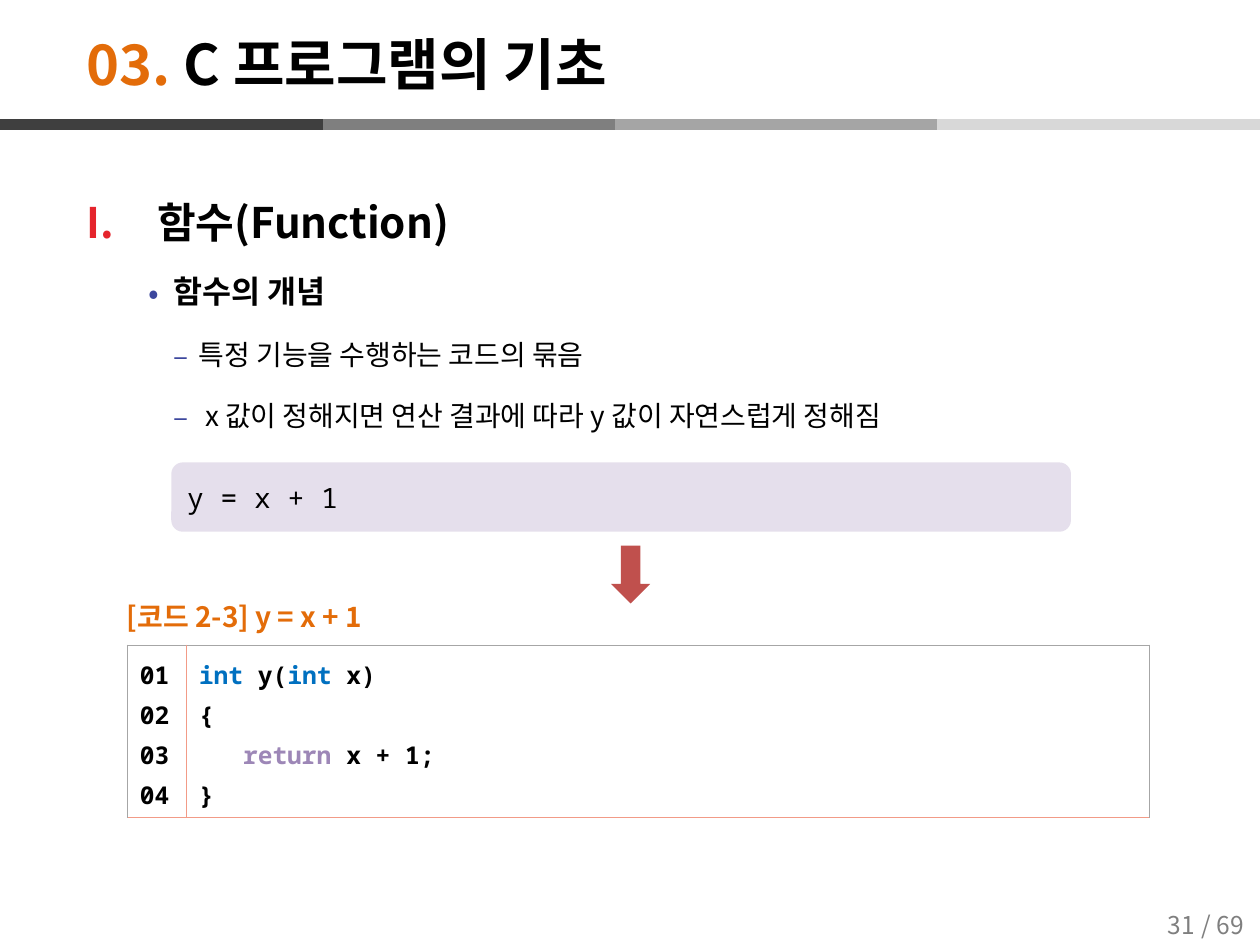
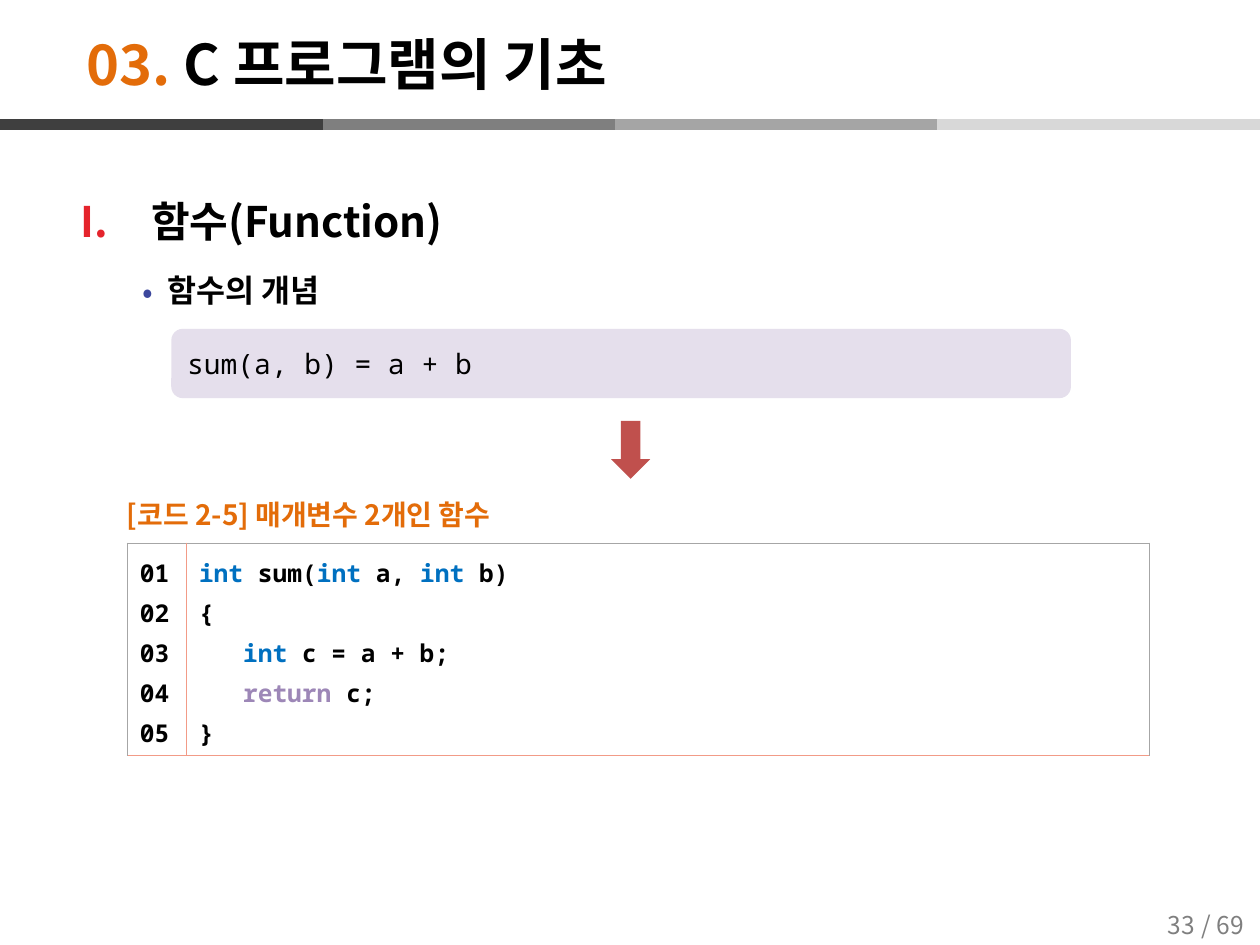
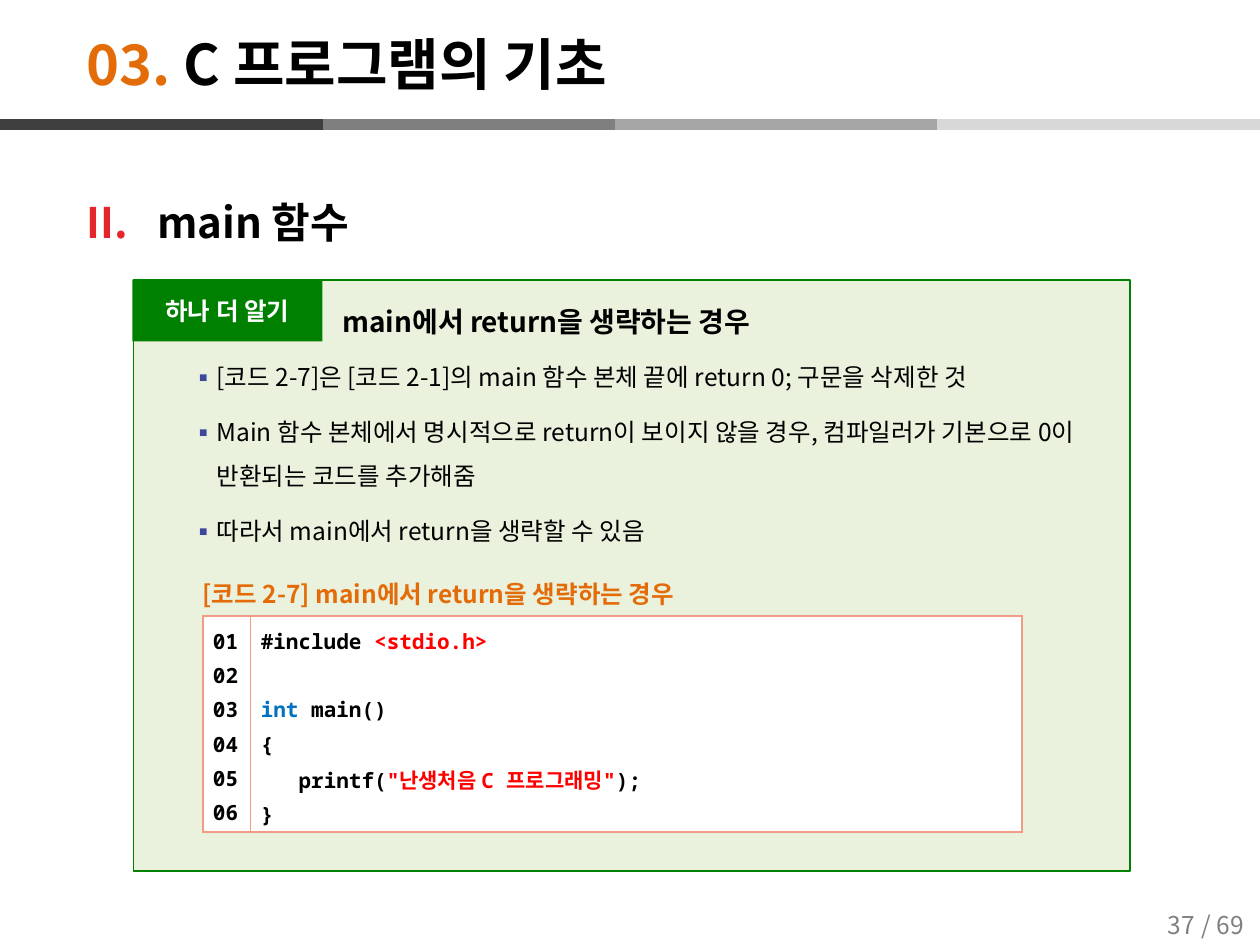
from lxml import etree
from pptx import Presentation
from pptx.dml.color import RGBColor
from pptx.enum.shapes import MSO_CONNECTOR, MSO_SHAPE
from pptx.enum.text import MSO_ANCHOR, PP_ALIGN
from pptx.oxml.ns import qn
from pptx.util import Inches, Pt

LINE = MSO_CONNECTOR.STRAIGHT
RECT = MSO_SHAPE.RECTANGLE
ROUND = MSO_SHAPE.ROUNDED_RECTANGLE
DOWN = MSO_SHAPE.DOWN_ARROW
TOP, MIDDLE = MSO_ANCHOR.TOP, MSO_ANCHOR.MIDDLE
LEFT, CENTER = PP_ALIGN.LEFT, PP_ALIGN.CENTER

SANS, MONO = "Noto Sans CJK KR", "Noto Sans Mono"
BLACK, WHITE, GRAY = "000000", "FFFFFF", "7F7F7F"
ORANGE, RED, NAVY, GREEN = "E36C09", "E5242C", "3C479D", "008000"
LILAC, PALE_GREEN, BRICK = "E5DFEC", "EAF1DD", "C0504D"
SALMON, SILVER, LITERAL = "F29B87", "A6A6A6", "FF0000"
KEYWORDS = {"int": "0070C0", "return": "9D87B7"}
BANDS = [(2.32, GRAY), (4.88, "A5A5A5"), (7.44, "D8D8D8"), (0, "3F3F3F")]
BAND_WIDTH = 2.56
MONO_ADVANCE, MONO_HEIGHT = 0.6, 1.36
CODE_SPACING = 1.2


def rgb(value):
    return RGBColor.from_string(value)


def sub(parent, tag, **attrs):
    return etree.SubElement(parent, qn(tag), attrs)


def token_color(token):
    if token[:1] in ('"', "<"):
        return LITERAL
    return KEYWORDS.get(token, BLACK)


class Deck:
    def __init__(self):
        self.prs = Presentation()
        self.prs.slide_width = Inches(10)
        self.prs.slide_height = Inches(7.5)
        self.s = None

    def new_slide(self, number):
        self.s = self.prs.slides.add_slide(self.prs.slide_layouts[6])
        for x, color in BANDS:
            self.band(x, color)
        for x, label in ((9.35, "/ 69"), (9.02, str(number))):
            self.label((x, 7.14, 0.71, 0.39), [(label, GRAY)], 14, bold=False, align=CENTER)
        self.label((0.59, 0.2, 8.74, 0.6), [("03. ", ORANGE), ("C 프로그램의 기초", BLACK)], 32)

    def band(self, x, color):
        y = Inches(0.99)
        c = self.s.shapes.add_connector(LINE, Inches(x), y, Inches(x + BAND_WIDTH), y)
        c.line.color.rgb = rgb(color)
        c.line.width = Pt(6)
        sub(c._element.spPr, "a:effectLst")

    def run(self, p, text, size, color=BLACK, bold=False, font=SANS):
        r = p.add_run()
        r.text = text
        r.font.size = Pt(size)
        r.font.bold = bold
        r.font.name = font
        r.font.color.rgb = rgb(color)
        sub(r._r.get_or_add_rPr(), "a:ea", typeface=SANS)

    def text_box(self, box, anchor):
        tf = self.s.shapes.add_textbox(*map(Inches, box)).text_frame
        tf.word_wrap = True
        tf.vertical_anchor = anchor
        return tf

    def label(self, box, runs, size, bold=True, align=LEFT, spacing=None):
        p = self.text_box(box, MIDDLE).paragraphs[0]
        p.alignment = align
        p.line_spacing = spacing
        for text, color in runs:
            self.run(p, text, size, color, bold)

    def item(self, p, text, size, margin, hang, before=0, bullet=None, start=1, bold=False):
        p.line_spacing = 1.5
        p.space_before = Pt(before)
        pPr = p._p.get_or_add_pPr()
        pPr.set("marL", str(Inches(margin)))
        pPr.set("indent", str(-Inches(hang)))
        sub(sub(pPr, "a:buClr"), "a:srgbClr", val=NAVY if bullet else RED)
        sub(pPr, "a:buFont", typeface=SANS)
        if bullet:
            sub(pPr, "a:buChar", char=bullet)
        else:
            sub(pPr, "a:buAutoNum", type="romanUcPeriod", startAt=str(start))
        self.run(p, text, size, bold=bold)

    def outline(self, box, heading, start=1, topic=None, details=()):
        tf = self.text_box(box, TOP)
        self.item(tf.paragraphs[0], heading, 24, 0.56, 0.56, start=start, bold=True)
        if topic:
            self.item(tf.add_paragraph(), topic, 18, 0.69, 0.2, 3.6, "•", bold=True)
        for text in details:
            self.item(tf.add_paragraph(), text, 16, 0.89, 0.2, 6.2, "–")

    def bullets(self, box, texts):
        tf = self.text_box(box, TOP)
        for i, text in enumerate(texts):
            p = tf.add_paragraph() if i else tf.paragraphs[0]
            self.item(p, text, 14, 0.49, 0.2, 6, "▪")

    def shape(self, kind, box, fill, line=None):
        sp = self.s.shapes.add_shape(kind, *map(Inches, box))
        sp.shadow.inherit = False
        sp.fill.solid()
        sp.fill.fore_color.rgb = rgb(fill)
        if line:
            sp.line.color.rgb = rgb(line)
            sp.line.width = Pt(1)
        else:
            sp.line.fill.background()
        return sp

    def shape_text(self, sp, text, size, color, bold, font, align):
        tf = sp.text_frame
        tf.word_wrap = True
        tf.vertical_anchor = MIDDLE
        p = tf.paragraphs[0]
        p.alignment = align
        self.run(p, text, size, color, bold, font)

    def formula(self, y, text):
        sp = self.shape(ROUND, (1.36, y, 7.14, 0.55), LILAC)
        self.shape_text(sp, text, 16, BLACK, False, MONO, LEFT)

    def arrow(self, y):
        self.shape(DOWN, (4.85, y, 0.31, 0.46), BRICK)

    def borders(self, cell, colors):
        tcPr = cell._tc.get_or_add_tcPr()
        for i, (side, color) in enumerate(zip("LRTB", colors)):
            width = Pt(0.5) if color == SILVER else Pt(1)
            ln = sub(tcPr, "a:ln" + side, w=str(width))
            sub(sub(ln, "a:solidFill"), "a:srgbClr", val=color)
            tcPr.insert(i, ln)

    def code_cell(self, cell, lines, size, inset, fill):
        cell.margin_left = cell.margin_right = Inches(inset)
        cell.margin_top = cell.margin_bottom = Inches(inset / 2)
        if fill:
            cell.fill.solid()
            cell.fill.fore_color.rgb = rgb(fill)
        else:
            cell.fill.background()
        tf = cell.text_frame
        for i, line in enumerate(lines):
            p = tf.add_paragraph() if i else tf.paragraphs[0]
            p.line_spacing = CODE_SPACING
            code = line.lstrip()
            indent = Pt((len(line) - len(code)) * MONO_ADVANCE * size)
            p._p.get_or_add_pPr().set("marL", str(indent))
            for token in code.split("|"):
                self.run(p, token, size, token_color(token), True, MONO)

    def code_table(self, x, y, widths, lines, size=14, inset=0.1, fill=None, edge=SILVER):
        line_height = Pt(size * CODE_SPACING * MONO_HEIGHT)
        height = len(lines) * line_height + Inches(inset)
        frame = self.s.shapes.add_table(1, 2, Inches(x), Inches(y), Inches(sum(widths)), height)
        table = frame.table
        table.first_row = table.horz_banding = False
        numbers = [f"{n:02}" for n in range(1, len(lines) + 1)]
        sides = ((edge, SALMON, edge, SALMON), (SALMON, edge, edge, SALMON))
        for i, content in enumerate((numbers, lines)):
            table.columns[i].width = Inches(widths[i])
            cell = table.cell(0, i)
            self.code_cell(cell, content, size, inset, fill)
            self.borders(cell, sides[i])

    def listing(self, y, caption, lines):
        self.label((0.91, y, 4.37, 0.35), [(caption, ORANGE)], 16)
        self.code_table(1.01, y + 0.4, (0.47, 7.64), lines)


def function_of_one(deck):
    deck.new_slide(31)
    deck.outline((0.59, 1.31, 9.21, 5.99), "함수(Function)", topic="함수의 개념", details=[
        "특정 기능을 수행하는 코드의 묶음",
        " x 값이 정해지면 연산 결과에 따라 y 값이 자연스럽게 정해짐",
    ])
    deck.formula(3.67, "y = x + 1")
    deck.listing(4.72, "[코드 2-3] y = x + 1",
                 ["int| y(|int| x)", "{", "   return| x + 1;", "}"])
    deck.arrow(4.33)


def function_of_two(deck):
    deck.new_slide(33)
    deck.outline((0.54, 1.3, 9.21, 5.99), "함수(Function)", topic="함수의 개념")
    deck.listing(3.91, "[코드 2-5] 매개변수 2개인 함수",
                 ["int| sum(|int| a, |int| b)", "{", "   int| c = a + b;", "   return| c;", "}"])
    deck.formula(2.61, "sum(a, b) = a + b")
    deck.arrow(3.34)


def main_function(deck):
    deck.new_slide(37)
    deck.outline((0.59, 1.31, 9.21, 0.86), "main 함수", start=2)
    deck.shape(RECT, (1.06, 2.22, 7.91, 4.69), PALE_GREEN, GREEN)
    deck.bullets((1.13, 2.71, 7.76, 2.51), [
        "[코드 2-7]은 [코드 2-1]의 main 함수 본체 끝에 return 0; 구문을 삭제한 것",
        "Main 함수 본체에서 명시적으로 return이 보이지 않을 경우, "
        "컴파일러가 기본으로 0이 반환되는 코드를 추가해줌",
        "따라서 main에서 return을 생략할 수 있음",
    ])
    tag = deck.shape(RECT, (1.05, 2.22, 1.51, 0.49), GREEN)
    deck.shape_text(tag, "하나 더 알기", 14, WHITE, True, SANS, CENTER)
    topic = "main에서 return을 생략하는 경우"
    deck.label((2.62, 2.28, 4.69, 0.4), [(topic, BLACK)], 16, spacing=1.5)
    deck.label((1.51, 4.57, 4.32, 0.28), [("[코드 2-7] " + topic, ORANGE)], 14)
    deck.code_table(1.61, 4.89, (0.38, 6.12), [
        "#include |<stdio.h>", "", "int| main()", "{",
        '   printf(|"난생처음 C 프로그래밍"|);', "}",
    ], size=12, inset=0.08, fill=WHITE, edge=SALMON)


def main():
    deck = Deck()
    function_of_one(deck)
    function_of_two(deck)
    main_function(deck)
    deck.prs.save("out.pptx")


if __name__ == "__main__":
    main()
